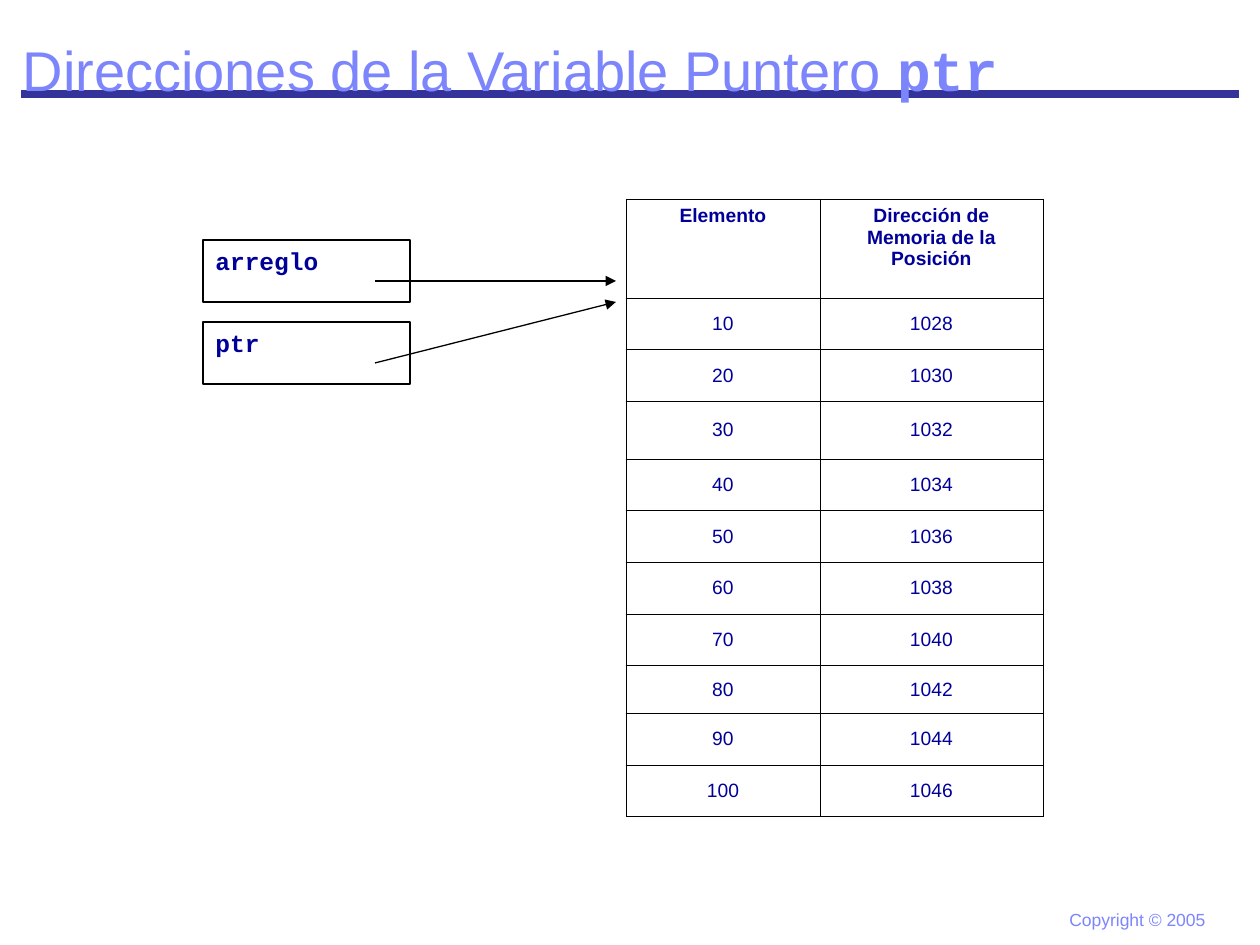
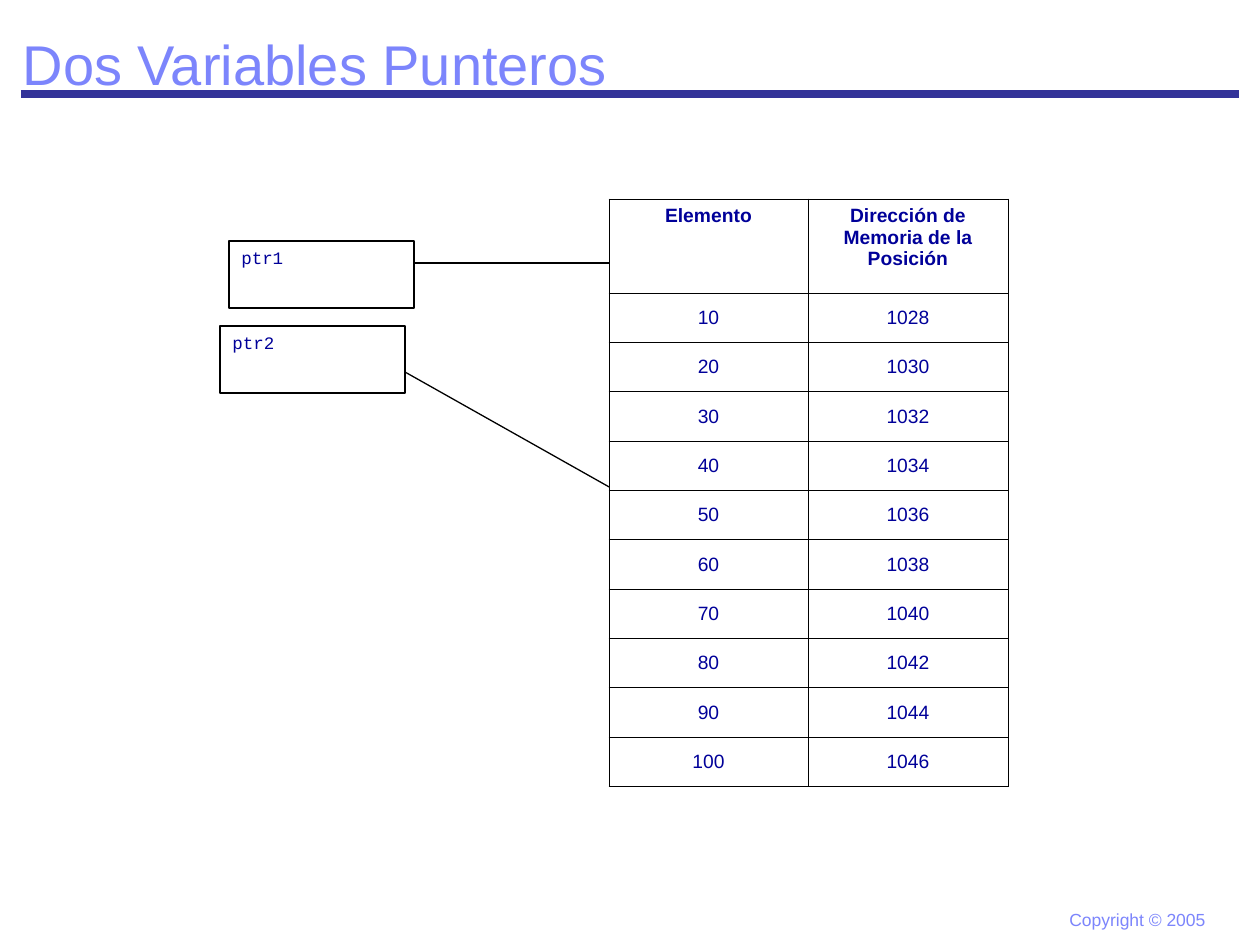
from dataclasses import dataclass

import pptx
import pptx.dml.color
import pptx.enum.dml
import pptx.enum.shapes
import pptx.enum.text
import pptx.oxml
import pptx.oxml.ns
import pptx.util

EMU_PER_PX = 914400 / 126
TITLE_ONLY = 5
LEFT = pptx.enum.text.PP_ALIGN.LEFT
CENTER = pptx.enum.text.PP_ALIGN.CENTER
TOP = pptx.enum.text.MSO_ANCHOR.TOP
MIDDLE = pptx.enum.text.MSO_ANCHOR.MIDDLE


@dataclass(frozen=True)
class Theme:
    """Colours, fonts, text sizes and line widths of the deck."""
    heading: str = "7C85FC"
    band: str = "333399"
    ink: str = "000099"
    line: str = "000000"
    paper: str = "FFFFFF"
    sans: str = "Arial"
    mono: str = "Courier New"
    title_size: int = 32
    table_size: int = 11
    footer_size: int = 10
    band_width: float = 4.5
    line_width: float = 0.75
    border_width: float = 0.45


THEME = Theme()
ELEMENTS = [(str(10 * n), str(1026 + 2 * n)) for n in range(1, 11)]
HEADINGS = ("Elemento", "Dirección de Memoria de la Posición")


def px(length):
    """Turn px into EMU."""
    return pptx.util.Emu(round(length * EMU_PER_PX))


def rgb(value):
    """Turn a hex string into a colour."""
    return pptx.dml.color.RGBColor.from_string(value)


def write_text(frame, text, *, size, font=THEME.sans, color=THEME.ink,
               bold=False, align=LEFT):
    """Add a formatted run to the first paragraph of a text frame."""
    paragraph = frame.paragraphs[0]
    paragraph.alignment = align
    run = paragraph.add_run()
    run.text = text
    run.font.name = font
    run.font.size = pptx.util.Pt(size)
    run.font.bold = bold
    run.font.color.rgb = rgb(color)


def draw_line(slide, start, end, *, color=THEME.line, width=THEME.line_width,
              arrow=False):
    """Draw a straight line, with an arrowhead at its end on request."""
    connector = slide.shapes.add_connector(
        pptx.enum.shapes.MSO_CONNECTOR.STRAIGHT, *map(px, (*start, *end)))
    connector.line.color.rgb = rgb(color)
    connector.line.width = pptx.util.Pt(width)
    if arrow:
        connector.line._get_or_add_ln().append(pptx.oxml.parse_xml(
            f'<a:tailEnd {pptx.oxml.ns.nsdecls("a")} type="triangle"/>'))
    connector._element.spPr.append(pptx.oxml.parse_xml(
        f'<a:effectLst {pptx.oxml.ns.nsdecls("a")}/>'))


def draw_pointer(slide, name, bounds, arrow_start, arrow_end, *, size,
                 bold=False, fill=None):
    """Draw a variable's box and the arrow to the address it holds."""
    variable = slide.shapes.add_shape(
        pptx.enum.shapes.MSO_SHAPE.RECTANGLE, *map(px, bounds))
    variable.shadow.inherit = False
    if fill:
        variable.fill.solid()
        variable.fill.fore_color.rgb = rgb(fill)
    else:
        variable.fill.background()
    variable.line.color.rgb = rgb(THEME.line)
    variable.line.width = pptx.util.Pt(THEME.line_width)
    variable.text_frame.vertical_anchor = TOP
    write_text(variable.text_frame, name, size=size, font=THEME.mono, bold=bold)
    draw_line(slide, arrow_start, arrow_end, arrow=True)


def style_cell(cell):
    """Give a cell thin borders and a plain fill."""
    properties = cell._tc.get_or_add_tcPr()
    for side in "LRTB":
        properties.append(pptx.oxml.parse_xml(
            f'<a:ln{side} {pptx.oxml.ns.nsdecls("a")} '
            f'w="{pptx.util.Pt(THEME.border_width)}"><a:solidFill>'
            f'<a:srgbClr val="{THEME.line}"/></a:solidFill></a:ln{side}>'))
    cell.fill.solid()
    cell.fill.fore_color.rgb = rgb(THEME.paper)


def draw_memory_table(slide, left, top, widths, header_height, body_height,
                      special_heights=None):
    """Draw the table of elements, sharing the free height between its rows."""
    special = special_heights or {}
    shared = (body_height - sum(special.values())) / (len(ELEMENTS) - len(special))
    rows = [HEADINGS, *ELEMENTS]
    memory = slide.shapes.add_table(
        len(rows), len(widths), px(left), px(top), px(sum(widths)),
        px(header_height + body_height)).table
    memory.first_row = memory.horz_banding = False
    for column, width in zip(memory.columns, widths):
        column.width = px(width)
    for index, values in enumerate(rows):
        is_header = index == 0
        memory.rows[index].height = px(
            header_height if is_header else special.get(index, shared))
        for cell, value in zip(memory.rows[index].cells, values):
            style_cell(cell)
            cell.vertical_anchor = TOP if is_header else MIDDLE
            write_text(cell.text_frame, value, size=THEME.table_size,
                       bold=is_header, align=CENTER)


def start_slide(deck, title_top, title, code=""):
    """Add a slide with its band, copyright line and title."""
    slide = deck.slides.add_slide(deck.slide_layouts[TITLE_ONLY])
    draw_line(slide, (21, 94), (1239, 94), color=THEME.band, width=THEME.band_width)
    rights = slide.shapes.add_textbox(*map(px, (1057, 903, 161, 34))).text_frame
    rights.word_wrap = False
    rights.auto_size = pptx.enum.text.MSO_AUTO_SIZE.SHAPE_TO_FIT_TEXT
    write_text(rights, "Copyright © 2005", size=THEME.footer_size,
               color=THEME.heading)
    heading = slide.shapes.title
    heading.left, heading.top, heading.width, heading.height = map(
        px, (10, title_top, 1218, 84))
    heading.text_frame.auto_size = pptx.enum.text.MSO_AUTO_SIZE.NONE
    heading.text_frame.vertical_anchor = MIDDLE
    write_text(heading.text_frame, title, size=THEME.title_size, color=THEME.heading)
    if code:
        write_text(heading.text_frame, code, size=THEME.title_size,
                   font=THEME.mono, color=THEME.heading, bold=True)
    slide.shapes._spTree.append(heading._element)
    return slide


def build_single_pointer(deck):
    """Show the array and one pointer holding the same address."""
    slide = start_slide(deck, 27, "Direcciones de la Variable Puntero ", "ptr")
    for name, top, arrow_end in (("arreglo", 240, 281), ("ptr", 322, 302)):
        draw_pointer(slide, name, (203, top, 207, 62), (375, top + 41),
                     (616, arrow_end), size=14, bold=True)
    draw_memory_table(slide, 626, 199, (194, 223), 99, 519, {3: 58, 8: 48})


def build_two_pointers(deck):
    """Show two pointers holding different addresses."""
    slide = start_slide(deck, 21, "Dos Variables Punteros")
    for name, left, top, arrow_drop, arrow_end in (
            ("ptr1", 229, 241, 22, (629, 263)),
            ("ptr2", 220, 326, 46, (650, 510))):
        draw_pointer(slide, name, (left, top, 185, 67),
                     (left + 185, top + arrow_drop), arrow_end,
                     size=10, fill=THEME.paper)
    draw_memory_table(slide, 609, 199, (199, 200), 94, 494)


def main():
    """Build the deck and save it."""
    deck = pptx.Presentation()
    deck.slide_width, deck.slide_height = px(1260), px(945)
    build_single_pointer(deck)
    build_two_pointers(deck)
    deck.save("out.pptx")


if __name__ == "__main__":
    main()
